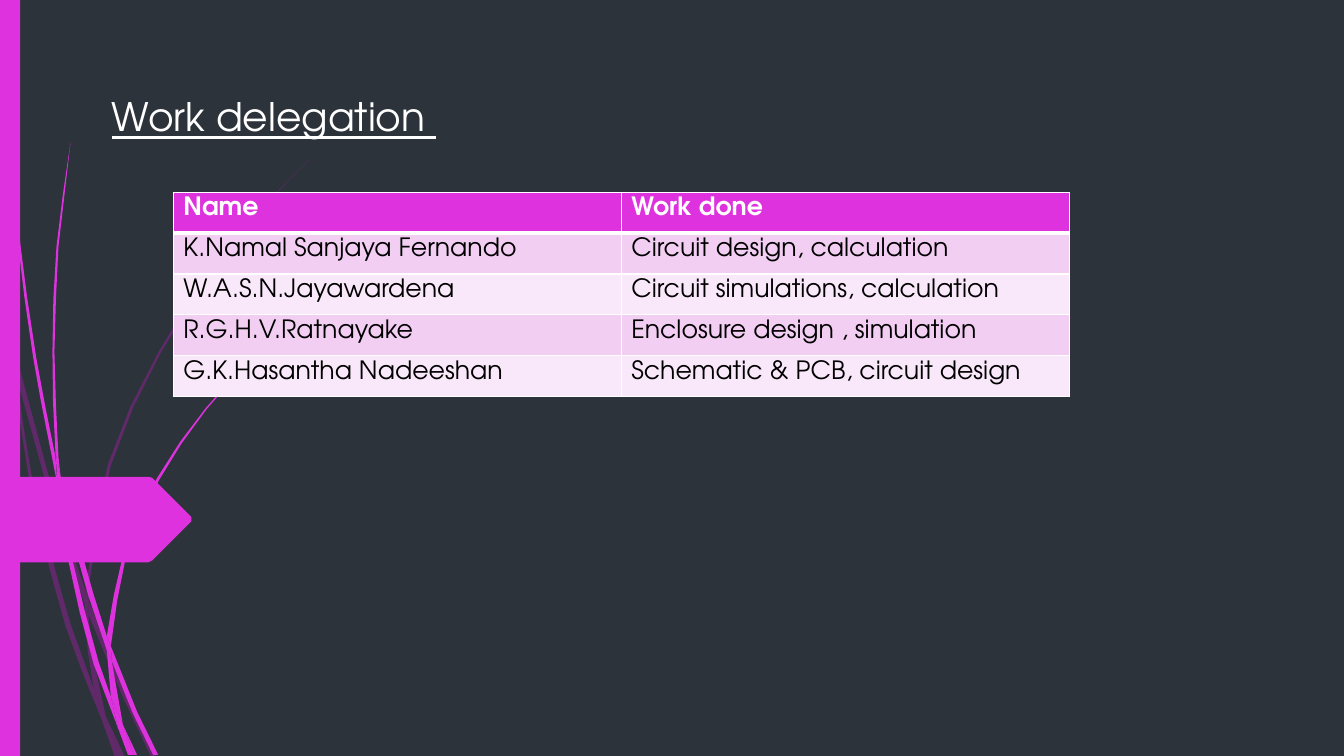
import itertools
import pptx
import pptx.dml.color
import pptx.enum.shapes
import pptx.enum.text
import pptx.oxml
import pptx.oxml.ns
import pptx.util
from dataclasses import dataclass

TITLE = "Work delegation "
ROWS = [
    ("Name", "Work done"),
    ("K.Namal Sanjaya Fernando", "Circuit design, calculation"),
    ("W.A.S.N.Jayawardena", "Circuit simulations, calculation"),
    ("R.G.H.V.Ratnayake", "Enclosure design , simulation"),
    ("G.K.Hasantha Nadeeshan", "Schematic & PCB, circuit design"),
]

GRID = 0.72
CURVE_STEP = 50
DIM_STRANDS = [
    ("11,350 9,322 0,282", "0,299 10,344"),
    ("17,376 58,522 84,599", "85,586 62,520 14,345"),
    ("88,610 123,694 150,751", "155,751 127,692 88,596"),
    ("105,711 119,751", "124,751"),
    ("11,350 28,470 65,621 101,714", "93,683 70,619 31,469 17,376"),
    ("84,599 87,646 93,683 105,711", "91,646 88,610"),
    ("312,153 268,197 228,244 158,348 107,461 85,584",
     "88,596 88,584 110,462 160,349 229,245 268,198"),
    ("101,714 114,751", "119,751"),
    ("85,586 84,599", "88,610 88,596"),
    ("93,683 101,714 119,751", "105,711"),
]
BRIGHT_STRANDS = [
    ("3,0 7,110 17,233 33,355 57,481", "55,453 36,355 19,232 8,109 4,0"),
    ("64,505 88,592 106,645", "106,631 93,590 60,472"),
    ("110,641 111,656 132,708 152,749", "157,749 136,706 110,641"),
    ("57,477 68,557 93,659 117,722", "110,691 98,657 72,556 64,505"),
    ("70,141 56,245 52,349 55,449 60,472", "58,453 54,349 58,245"),
    ("122,719 133,749", "136,749"),
    ("55,449 57,477", "64,505 60,472"),
    ("260,344 204,405 156,474 122,551 106,631",
     "110,641 125,552 158,476 205,406 261,344"),
    ("117,722 127,749", "131,749"),
    ("106,645 110,691 122,719", "111,656"),
    ("106,631 106,645", "111,656 110,641"),
    ("110,691 117,722 130,749", "133,749 122,719"),
]
SIGNPOST = "0,473 0,558 147,558 151,556 190,517 190,513 151,474 147,473"


@dataclass(frozen=True)
class Theme:
    font: str = "TeX Gyre Adventor"
    background: str = "2C333A"
    accent: str = "DE32DE"
    dim: str = "B01CB0"
    dim_alpha: int = 40
    light: str = "FFFFFF"
    dark: str = "000000"
    bands: tuple = ("F2CEF2", "F9E8F9")
    title_size: int = 28
    table_size: int = 18


T = Theme()
Pt = pptx.util.Pt
rgb = pptx.dml.color.RGBColor.from_string


def write(tf, text, size, color, bold=False, underline=False):
    p = tf.paragraphs[0]
    p.alignment = pptx.enum.text.PP_ALIGN.LEFT
    r = p.add_run()
    r.text = text
    r.font.name = T.font
    r.font.size = Pt(size)
    r.font.bold = bold
    r.font.underline = underline
    r.font.color.rgb = rgb(color)


def paint(sp, color, alpha=100):
    sp.shadow.inherit = False
    sp.line.fill.background()
    sp.fill.solid()
    sp.fill.fore_color.rgb = rgb(color)
    if alpha < 100:
        clr = sp.fill._xPr.find(".//" + pptx.oxml.ns.qn("a:srgbClr"))
        clr.append(pptx.oxml.parse_xml(
            f'<a:alpha {pptx.oxml.ns.nsdecls("a")} val="{alpha * 1000}"/>'))


def knots(text):
    return [complex(*map(float, pair.split(","))) for pair in text.split()]


def smooth(points):
    padded = [points[0], *points, points[-1]]
    slopes = [(c - a) / ((abs(b - a) + abs(c - b)) or 1)
              for a, b, c in zip(padded, points, padded[2:])]
    curve = [points[0]]
    for (a, da), (b, db) in itertools.pairwise(zip(points, slopes)):
        span = abs(b - a)
        steps = max(1, round(span / CURVE_STEP))
        for i in range(1, steps + 1):
            t = i / steps
            ease = t * t * (3 - 2 * t)
            bend = t * (1 - t) * ((1 - t) * da - t * db)
            curve.append(a + (b - a) * ease + span * bend)
    return curve


def outline(s, points, color, alpha=100):
    xy = [(Pt(z.real * GRID), Pt(z.imag * GRID)) for z in points]
    builder = s.shapes.build_freeform(*xy[0])
    builder.add_line_segments(xy[1:], close=True)
    paint(builder.convert_to_shape(), color, alpha)


def border(cell, top, bottom):
    tcPr = cell._tc.get_or_add_tcPr()
    for i, (side, width) in enumerate(zip("LRTB", (1, 1, top, bottom))):
        tcPr.insert(i, pptx.oxml.parse_xml(
            f'<a:ln{side} {pptx.oxml.ns.nsdecls("a")} w="{Pt(width)}">'
            f'<a:solidFill><a:srgbClr val="{T.light}"/></a:solidFill></a:ln{side}>'))


def add_decoration(s):
    for strands, color, alpha in ((DIM_STRANDS, T.dim, T.dim_alpha),
                                  (BRIGHT_STRANDS, T.accent, 100)):
        for near, far in strands:
            outline(s, smooth(knots(near)) + smooth(knots(far)), color, alpha)
    bar = s.shapes.add_shape(pptx.enum.shapes.MSO_SHAPE.RECTANGLE,
                             0, 0, Pt(14.4), Pt(540))
    paint(bar, T.accent)
    outline(s, knots(SIGNPOST), T.accent)


def add_title(s):
    sp = s.shapes.title
    sp.left, sp.top, sp.width, sp.height = Pt(72.7), Pt(38.9), Pt(702), Pt(64)
    tf = sp.text_frame
    tf.word_wrap = True
    tf.auto_size = pptx.enum.text.MSO_AUTO_SIZE.NONE
    tf.vertical_anchor = pptx.enum.text.MSO_ANCHOR.BOTTOM
    write(tf, TITLE, T.title_size, T.light, underline=True)


def add_work_table(s):
    table = s.shapes.add_table(len(ROWS), 2, Pt(123.8), Pt(137.3),
                               Pt(640), Pt(29.2 * len(ROWS))).table
    table.horz_banding = False
    for i, row in enumerate(ROWS):
        header = i == 0
        table.rows[i].height = Pt(29.2)
        for j, text in enumerate(row):
            cell = table.cell(i, j)
            cell.fill.solid()
            cell.fill.fore_color.rgb = rgb(T.accent if header else T.bands[(i - 1) % 2])
            border(cell, top=3 if i == 1 else 1, bottom=3 if header else 1)
            write(cell.text_frame, text, T.table_size,
                  T.light if header else T.dark, bold=header)


def main():
    prs = pptx.Presentation()
    prs.slide_width, prs.slide_height = Pt(960), Pt(540)
    s = prs.slides.add_slide(prs.slide_layouts[5])
    s.background.fill.solid()
    s.background.fill.fore_color.rgb = rgb(T.background)
    add_decoration(s)
    add_title(s)
    add_work_table(s)
    prs.save("out.pptx")


if __name__ == "__main__":
    main()
